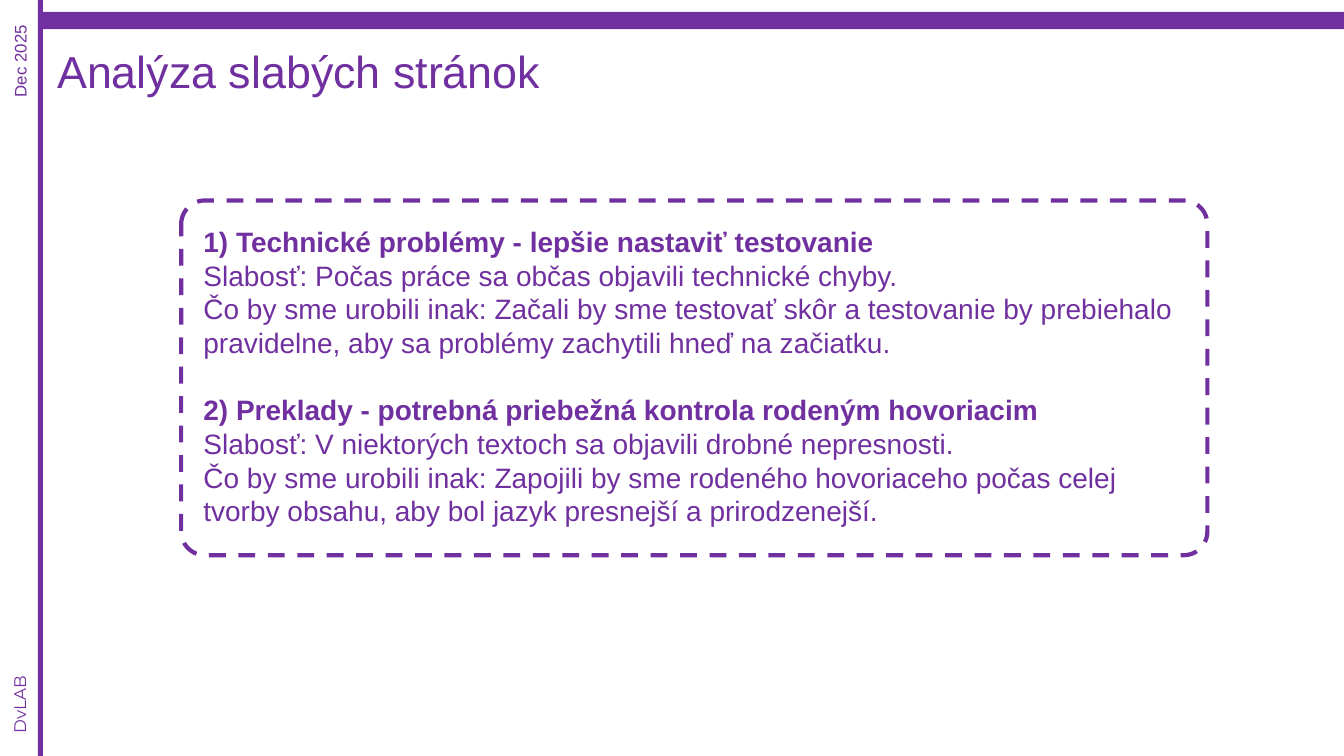
from pptx import Presentation
from pptx.dml.color import RGBColor
from pptx.enum.dml import MSO_LINE
from pptx.enum.shapes import MSO_SHAPE
from pptx.enum.text import MSO_AUTO_SIZE
from pptx.util import Pt

RECTANGLE, ROUNDED = MSO_SHAPE.RECTANGLE, MSO_SHAPE.ROUNDED_RECTANGLE
DASH = MSO_LINE.DASH
NO_AUTOSIZE = MSO_AUTO_SIZE.NONE
PURPLE = RGBColor(0x70, 0x30, 0xA0)

# Content
TITLE = "Analýza slabých stránok"
WEAKNESSES = [
    ("1) Technické problémy - lepšie nastaviť testovanie",
     "Slabosť: Počas práce sa občas objavili technické chyby.\v"
     "Čo by sme urobili inak: Začali by sme testovať skôr a testovanie by "
     "prebiehalo pravidelne, aby sa problémy zachytili hneď na začiatku."),
    ("2) Preklady - potrebná priebežná kontrola rodeným hovoriacim",
     "Slabosť: V niektorých textoch sa objavili drobné nepresnosti.\v"
     "Čo by sme urobili inak: Zapojili by sme rodeného hovoriaceho počas celej "
     "tvorby obsahu, aby bol jazyk presnejší a prirodzenejší."),
]
# Side labels: text, font, left, top, width
SIDE_LABELS = [
    ("Dec 2025", "Arial", -19.4, 31.7, 67.7),
    ("DvLAB", "Montserrat", -18, 488.2, 64.1),
]

# Layout in points
SLIDE_WIDTH, SLIDE_HEIGHT = 960, 540
SIDE_BAR = (27, 0, 3.6, SLIDE_HEIGHT)
TOP_BAR = (28.8, 8.6, SLIDE_WIDTH - 28.8, 12.2)
FRAME = (129.4, 143.2, 733, 253.4)
TITLE_BOX = (33.8, 27.4, 393.8, 46)
BODY_BOX = (138.2, 157, 724.3, 225.4)
LABEL_HEIGHT = 21.8
BODY_LINE = 24


def add_shape(slide, kind, box):
    shape = slide.shapes.add_shape(kind, *map(Pt, box))
    shape.shadow.inherit = False
    return shape


def add_text(slide, box, paragraphs, size, name="Arial", wrap=True):
    """Paragraphs are (text, bold, space before) tuples."""
    shape = slide.shapes.add_textbox(*map(Pt, box))
    frame = shape.text_frame
    frame.word_wrap = wrap
    frame.auto_size = NO_AUTOSIZE
    for index, (text, bold, gap) in enumerate(paragraphs):
        paragraph = frame.add_paragraph() if index else frame.paragraphs[0]
        paragraph.text = text
        if gap:
            paragraph.space_before = Pt(gap)
        font_format = {"name": name, "size": Pt(size), "bold": bold}
        for key, value in font_format.items():
            setattr(paragraph.font, key, value)
        paragraph.font.color.rgb = PURPLE
    return shape


def main():
    presentation = Presentation()
    presentation.slide_width = Pt(SLIDE_WIDTH)
    presentation.slide_height = Pt(SLIDE_HEIGHT)
    slide = presentation.slides.add_slide(presentation.slide_layouts[6])

    # Bars along the left and top edges
    for box in (SIDE_BAR, TOP_BAR):
        bar = add_shape(slide, RECTANGLE, box)
        bar.fill.solid()
        bar.fill.fore_color.rgb = PURPLE
        bar.line.fill.background()

    # Labels read from bottom to top
    for text, name, left, top, width in SIDE_LABELS:
        label = add_text(slide, (left, top, width, LABEL_HEIGHT),
                         [(text, False, 0)], 12, name, wrap=False)
        label.rotation = 270

    # Title and weaknesses, with one empty line's height between groups
    add_text(slide, TITLE_BOX, [(TITLE, False, 0)], 32)
    paragraphs = []
    for index, (heading, details) in enumerate(WEAKNESSES):
        paragraphs += [(heading, True, BODY_LINE if index else 0),
                       (details, False, 0)]
    body = add_text(slide, BODY_BOX, paragraphs, 20)
    for paragraph in body.text_frame.paragraphs:
        paragraph.line_spacing = Pt(BODY_LINE)

    # Dashed frame around the weaknesses
    frame = add_shape(slide, ROUNDED, FRAME)
    frame.adjustments[0] = 0.067
    frame.fill.background()
    frame.line.color.rgb = PURPLE
    frame.line.width = Pt(3)
    frame.line.dash_style = DASH

    presentation.save("out.pptx")


if __name__ == "__main__":
    main()
